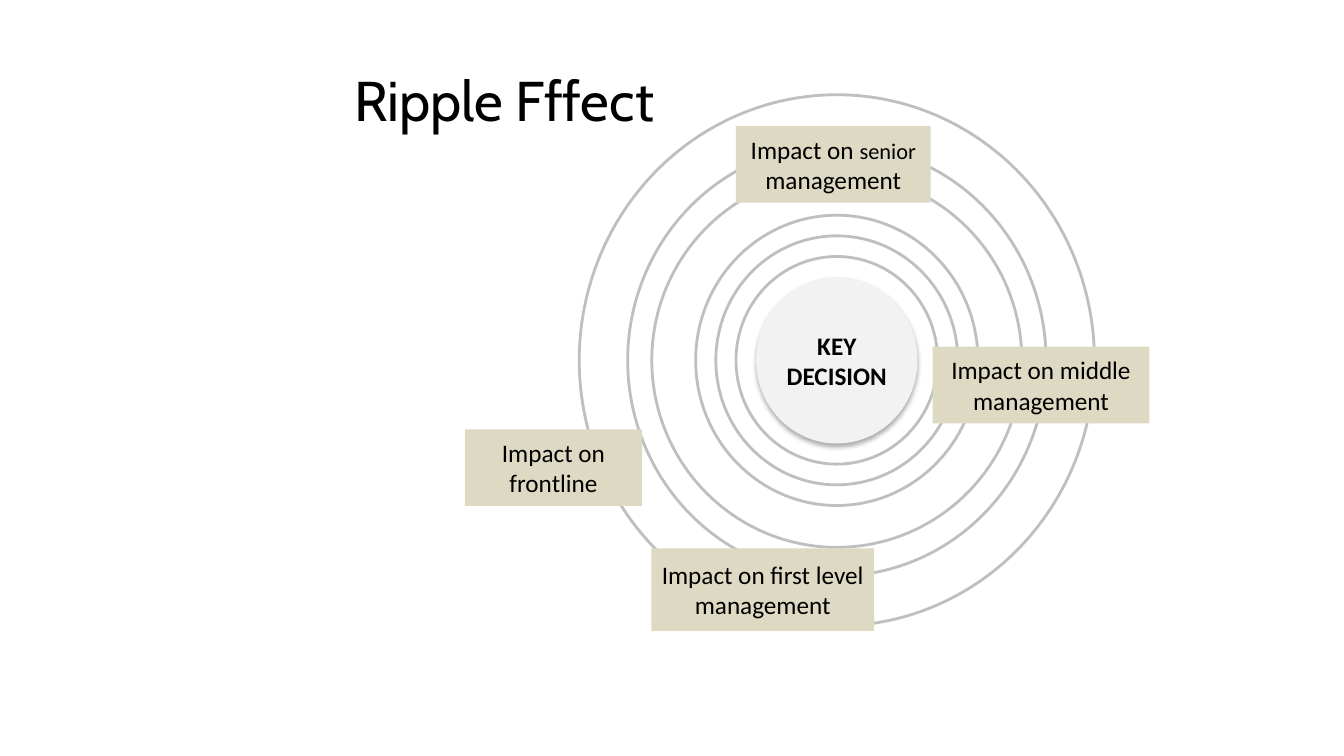
"""Build the ripple effect slide: rings around a key decision, with impact labels."""
from lxml import etree
from pptx import Presentation
from pptx.dml.color import RGBColor
from pptx.enum.shapes import MSO_SHAPE
from pptx.enum.text import MSO_ANCHOR, PP_ALIGN
from pptx.oxml import parse_xml
from pptx.oxml.ns import nsdecls, qn
from pptx.util import Inches, Pt

COLORS = {"ink": "000000", "paper": "FFFFFF", "ring": "BFBFBF",
          "label": "DDD9C3", "core": "F2F2F2"}
MID_X, MID_Y = 8.3, 3.575


def add_form(shapes, kind, box, fill=None):
    form = shapes.add_shape(kind, *[Inches(v) for v in box])
    form.shadow.inherit = False
    if fill:
        form.fill.solid()
        form.fill.fore_color.rgb = RGBColor.from_string(COLORS[fill])
        form.line.fill.background()
    else:
        form.fill.background()
        form.line.color.rgb = RGBColor.from_string(COLORS["ring"])
        form.line.width = Pt(2)
    return form


def add_text(form, runs, **style):
    frame = form.text_frame
    frame.word_wrap = True
    frame.vertical_anchor = MSO_ANCHOR.MIDDLE
    para = frame.paragraphs[0]
    para.alignment = PP_ALIGN.CENTER
    for text, size in runs:
        run = para.add_run()
        run.text = text
        run.font.color.rgb = RGBColor.from_string(COLORS["ink"])
        look = {"name": "Calibri", "size": Pt(size), **style}
        for key, value in look.items():
            setattr(run.font, key, value)


deck = Presentation()
deck.slide_width, deck.slide_height = Inches(13.33), Inches(7.5)
slide = deck.slides.add_slide(deck.slide_layouts[6])

title = add_form(slide.shapes, MSO_SHAPE.RECTANGLE, (0.5, 0.59, 9, 0.79), "paper")
add_text(title, [("Ripple Fffect", 40)], name="Cabin")

rings = slide.shapes.add_group_shape()
sizes = [(2, 2.06), (2.4, 2.47), (2.8, 2.88), (3.67, 3.71), (4.15, 4.28), (5.11, 5.27)]
for wide, high in sizes:
    add_form(rings.shapes, MSO_SHAPE.OVAL,
             (MID_X - wide / 2, MID_Y - high / 2, wide, high))

labels = [
    ((4.61, 4.26, 1.76, 0.76), [("Impact on frontline", 18)]),
    ((7.3, 1.25, 1.93, 0.76), [("Impact on ", 18), ("senior", 16), (" management", 18)]),
    ((6.46, 5.44, 2.21, 0.82), [("Impact on first level management", 18)]),
    ((9.25, 3.44, 2.15, 0.76), [("Impact on middle management", 18)]),
]
for box, runs in labels:
    label = add_form(slide.shapes, MSO_SHAPE.RECTANGLE, box, "label")
    add_text(label, runs)

core = add_form(slide.shapes, MSO_SHAPE.OVAL, (7.5, 2.75, 1.6, 1.65), "core")
add_text(core, [("KEY DECISION", 18)], bold=True)
core.text_frame.margin_left = core.text_frame.margin_right = 0
effects = core.element.spPr.find(qn("a:effectLst"))
effects.append(parse_xml(
    f'<a:outerShdw {nsdecls("a")} blurRad="{Pt(3.5)}" dist="{Pt(2.2)}" '
    'dir="5400000" algn="t" rotWithShape="0"/>'))
shade = etree.SubElement(effects[0], qn("a:srgbClr"), val=COLORS["ink"])
etree.SubElement(shade, qn("a:alpha"), val="32000")

deck.save("out.pptx")
